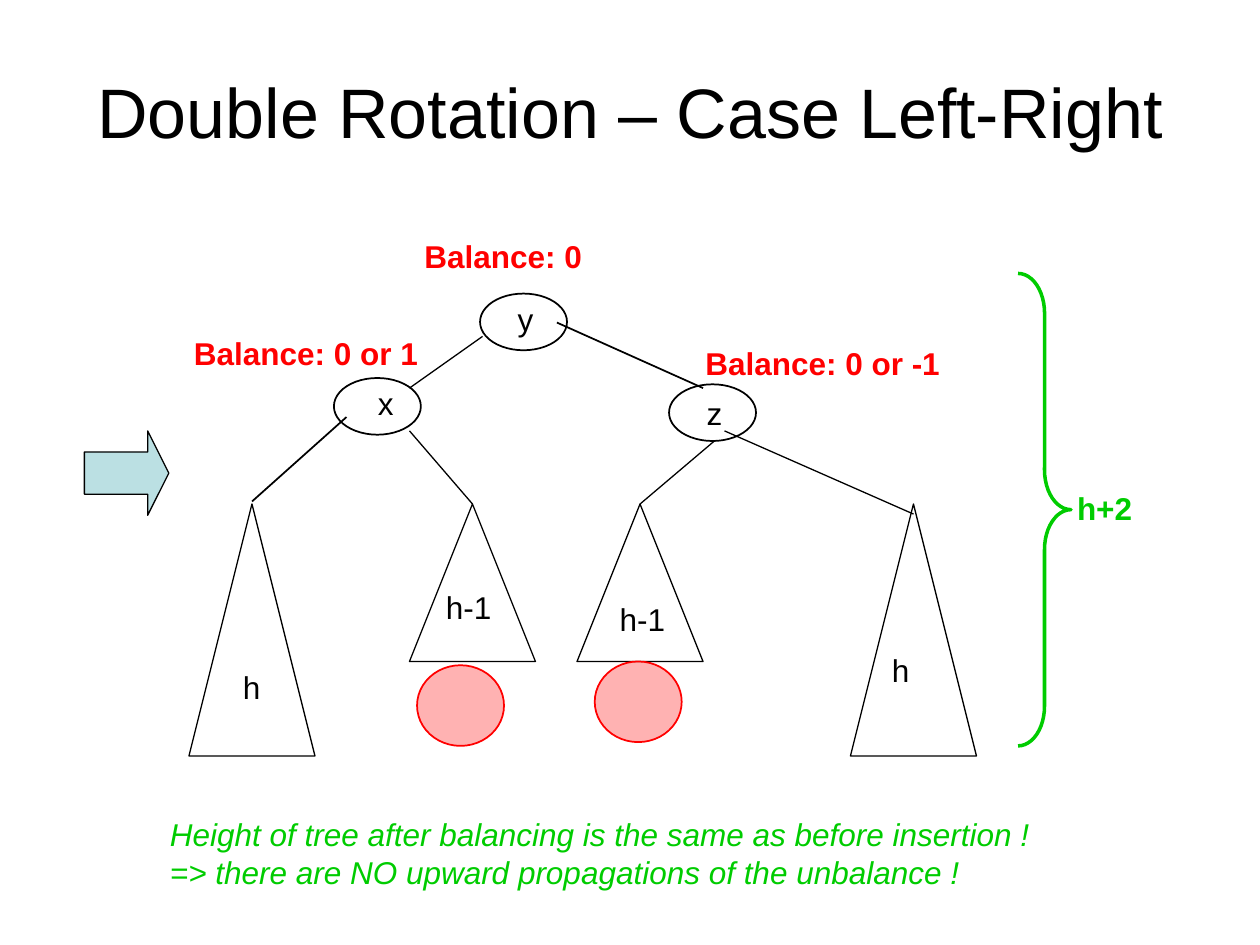
import pptx
import pptx.dml.color
import pptx.enum.shapes
import pptx.enum.text
import pptx.oxml.ns
import pptx.util
from lxml import etree
from pptx.util import Inches

COLORS = {"black": "000000", "red": "FF0000", "green": "00CC00", "arrow": "BBE0E3"}
SHAPES = pptx.enum.shapes.MSO_SHAPE
ANCHORS = pptx.enum.text.MSO_ANCHOR
ALIGNMENTS = pptx.enum.text.PP_ALIGN
FITTING = pptx.enum.text.MSO_AUTO_SIZE

presentation = pptx.Presentation()
presentation.slide_width = Inches(10)
presentation.slide_height = Inches(7.5)
slide = presentation.slides.add_slide(presentation.slide_layouts[6])


def add_outline(kind, box, color="black", width=1, fill=None):
    shape = slide.shapes.add_shape(kind, *map(Inches, box))
    shape.shadow.inherit = False
    shape.line.color.rgb = pptx.dml.color.RGBColor.from_string(COLORS[color])
    shape.line.width = pptx.util.Pt(width)
    if fill:
        shape.fill.solid()
        shape.fill.fore_color.rgb = pptx.dml.color.RGBColor.from_string(COLORS[fill])
    else:
        shape.fill.background()
    return shape


def add_text(lines, box, color="black", size=18, alignment=ALIGNMENTS.LEFT, frame_format=None, **font_format):
    text_box = slide.shapes.add_textbox(*map(Inches, box))
    frame = text_box.text_frame
    settings = {"word_wrap": False, "auto_size": FITTING.SHAPE_TO_FIT_TEXT}
    for name, value in (frame_format or settings).items():
        setattr(frame, name, value)
    for index, line in enumerate(lines):
        paragraph = frame.add_paragraph() if index else frame.paragraphs[0]
        paragraph.text = line
        paragraph.alignment = alignment
        font_values = {"name": "Arial", "size": pptx.util.Pt(size), **font_format}
        for name, value in font_values.items():
            setattr(paragraph.font, name, value)
        paragraph.font.color.rgb = pptx.dml.color.RGBColor.from_string(COLORS[color])


title_format = {"word_wrap": True, "auto_size": FITTING.NONE, "vertical_anchor": ANCHORS.MIDDLE}
add_text(["Double Rotation – Case Left-Right"], (0.5, 0.25, 9, 1.25), size=40,
         alignment=ALIGNMENTS.CENTER, frame_format=title_format)

for left, top in [(3.81, 2.33), (2.65, 3), (5.31, 3.05)]:
    add_outline(SHAPES.OVAL, (left, top, 0.69, 0.45))

subtrees = [
    add_outline(SHAPES.ISOSCELES_TRIANGLE, (left, 4, 1, height), width=0.75)
    for left, height in [(1.5, 2), (3.25, 1.25), (4.58, 1.25), (6.75, 2)]
]

for left, top in [(3.31, 5.28), (4.72, 5.25)]:
    inserted_node = add_outline(SHAPES.OVAL, (left, top, 0.69, 0.64), "red", fill="red")
    fill_color = inserted_node._element.spPr.find(".//" + pptx.oxml.ns.qn("a:srgbClr"))
    etree.SubElement(fill_color, pptx.oxml.ns.qn("a:alpha"), val="30000")

rotation_arrow = add_outline(SHAPES.RIGHT_ARROW, (0.67, 3.42, 0.67, 0.67), width=0.75, fill="arrow")
rotation_arrow.adjustments[0] = 0.5
rotation_arrow.adjustments[1] = 0.25

height_brace = add_outline(SHAPES.RIGHT_BRACE, (8.08, 2.17, 0.42, 3.75), "green", 2)
height_brace.adjustments[0] = 0.75
height_brace.adjustments[1] = 0.5

edges = [
    ((3.83, 2.67), (3.25, 3.08), 0.75, None),
    ((4.42, 2.56), (5.58, 3.08), 1, None),
    ((2.75, 3.31), (2, 3.98), 1, None),
    ((3.25, 3.42), (3.75, 4), 0.75, subtrees[1]),
    ((5.67, 3.5), (5.08, 4), 0.75, subtrees[2]),
    ((5.75, 3.42), (7.25, 4.08), 0.75, None),
]
for start, end, width, subtree in edges:
    connector = slide.shapes.add_connector(
        pptx.enum.shapes.MSO_CONNECTOR.STRAIGHT, *map(Inches, start + end))
    connector.line.color.rgb = pptx.dml.color.RGBColor.from_string(COLORS["black"])
    connector.line.width = pptx.util.Pt(width)
    etree.SubElement(connector._element.spPr, pptx.oxml.ns.qn("a:effectLst"))
    if subtree:
        connector.end_connect(subtree, 0)

tree_labels = [
    ("y", 4.01, 2.33, 0.32),
    ("x", 2.9, 3, 0.32),
    ("z", 5.51, 3.08, 0.32),
    ("h", 1.83, 5.25, 0.34),
    ("h-1", 3.44, 4.62, 0.56),
    ("h-1", 4.82, 4.71, 0.56),
    ("h", 6.98, 5.12, 0.34),
]
for label, left, top, width in tree_labels:
    add_text([label], (left, top, width, 0.4))

bold_labels = [
    ("Balance: 0", 3.27, 1.83, 1.45, "red"),
    ("Balance: 0 or 1", 1.44, 2.6, 1.98, "red"),
    ("Balance: 0 or -1", 5.5, 2.68, 2.06, "red"),
    ("h+2", 8.45, 3.83, 0.64, "green"),
]
for label, left, top, width, color in bold_labels:
    add_text([label], (left, top, width, 0.4), color, bold=True)

conclusion = [
    "Height of tree after balancing is the same as before insertion !",
    "=> there are NO upward propagations of the unbalance !",
]
add_text(conclusion, (1.25, 6.42, 7.09, 0.7), "green", italic=True)

presentation.save("out.pptx")
